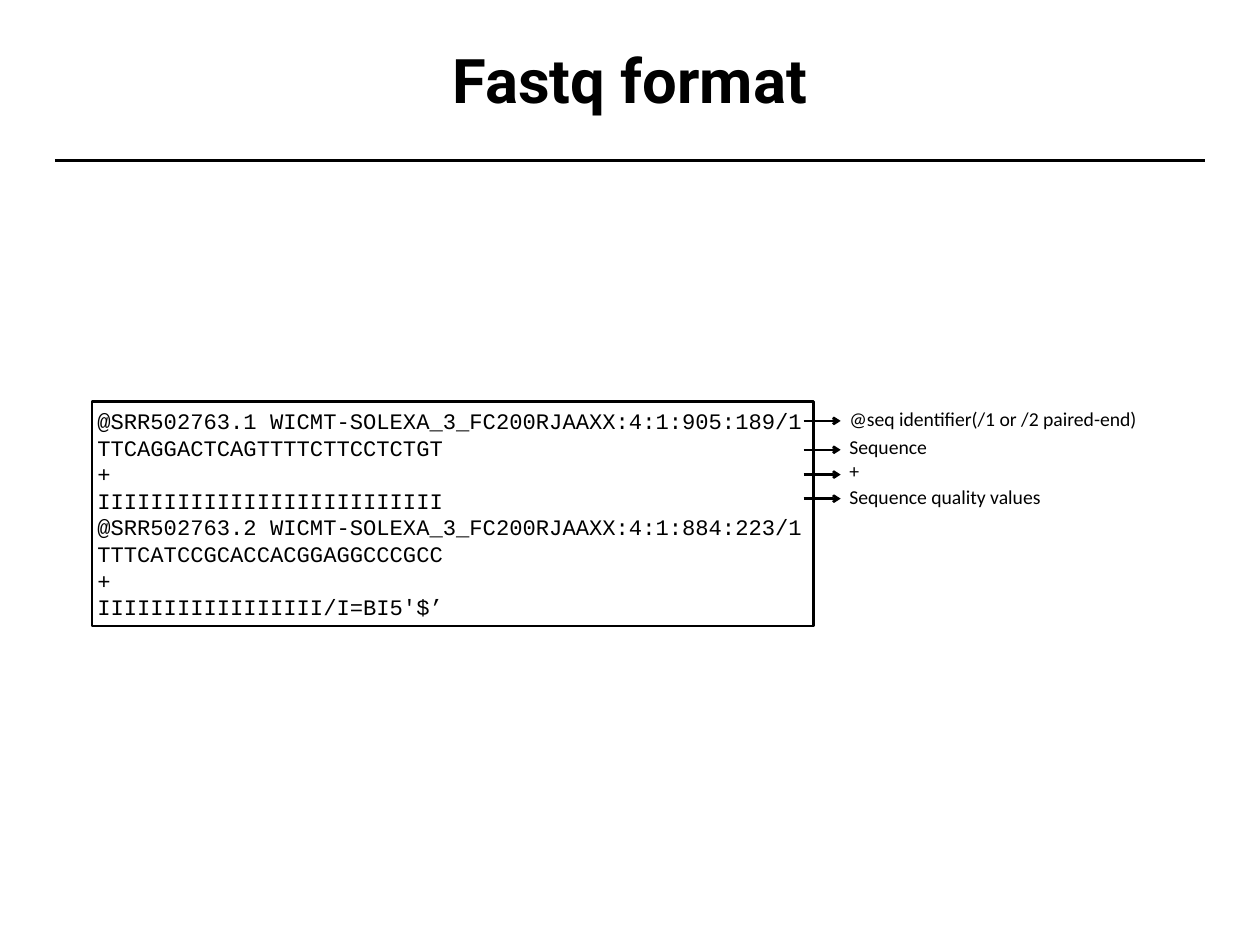
import pptx
import pptx.util
import pptx.dml.color
import pptx.enum.shapes
import pptx.enum.text
import pptx.oxml.ns
import lxml.etree

Cm = pptx.util.Cm
Pt = pptx.util.Pt
COLORS = {"ink": "000000", "paper": "FFFFFF"}
READS = [
    "@SRR502763.1 WICMT-SOLEXA_3_FC200RJAAXX:4:1:905:189/1",
    "TTCAGGACTCAGTTTTCTTCCTCTGT",
    "+",
    "IIIIIIIIIIIIIIIIIIIIIIIIII",
    "@SRR502763.2 WICMT-SOLEXA_3_FC200RJAAXX:4:1:884:223/1",
    "TTTCATCCGCACCACGGAGGCCCGCC",
    "+",
    "IIIIIIIIIIIIIIIII/I=BI5'$’",
]
NOTES = [
    ("@seq identifier(/1 or /2 paired-end)", 0, 0.54),
    ("Sequence", 0.81, 1.37),
    ("+", 1.5, 2.08),
    ("Sequence quality values", 2.26, 2.77),
]


def color(name):
    """Return the named colour."""
    return pptx.dml.color.RGBColor.from_string(COLORS[name])


def write(frame, lines, font, size, bold=False, align="LEFT"):
    """Fill a text frame with one paragraph per line."""
    for i, line in enumerate(lines):
        para = frame.add_paragraph() if i else frame.paragraphs[0]
        para.alignment = getattr(pptx.enum.text.PP_ALIGN, align)
        run = para.add_run()
        run.text = line
        run.font.name = font
        run.font.size = Pt(size)
        run.font.bold = bold
        run.font.color.rgb = color("ink")


def inset(frame):
    """Set narrow margins and centre the text vertically."""
    frame.margin_left = frame.margin_right = Cm(0.15)
    frame.margin_top = frame.margin_bottom = Cm(0.15)
    frame.vertical_anchor = pptx.enum.text.MSO_ANCHOR.MIDDLE
    frame.word_wrap = True


def rule(slide, x1, x2, y, arrow=False):
    """Draw a level line, with an arrowhead if asked."""
    kind = pptx.enum.shapes.MSO_CONNECTOR.STRAIGHT
    line = slide.shapes.add_connector(kind, Cm(x1), Cm(y), Cm(x2), Cm(y))
    line.line.color.rgb = color("ink")
    line.line.width = Pt(2)
    qn = pptx.oxml.ns.qn
    if arrow:
        lxml.etree.SubElement(line.line._get_or_add_ln(), qn("a:tailEnd"), type="arrow")
    lxml.etree.SubElement(line._element.spPr, qn("a:effectLst"))


def header(slide, x, y, w, h):
    """Place the title and the rule below it."""
    title = slide.shapes.title
    title.left, title.top, title.width, title.height = Cm(x), Cm(y), Cm(w), Cm(h)
    inset(title.text_frame)
    write(title.text_frame, ["Fastq format"], "Roboto", 50, True, "CENTER")
    rule(slide, x - 1.07, x + w + 1.06, y + h + 0.43)


def listing(slide, x, y, w, h):
    """Place the framed reads."""
    kind = pptx.enum.shapes.MSO_SHAPE.RECTANGLE
    frame = slide.shapes.add_shape(kind, Cm(x), Cm(y), Cm(w), Cm(h))
    frame.shadow.inherit = False
    frame.fill.solid()
    frame.fill.fore_color.rgb = color("paper")
    frame.line.color.rgb = color("ink")
    frame.line.width = Pt(2)
    inset(frame.text_frame)
    write(frame.text_frame, READS, "Courier New", 18)


def legend(slide, x, y, w):
    """Place the notes with arrows from the reads."""
    for text, top, mid in NOTES:
        note = slide.shapes.add_textbox(Cm(x), Cm(y + top), Cm(w), Cm(0.94))
        note.text_frame.word_wrap = True
        write(note.text_frame, [text], "Calibri", 16)
        rule(slide, x - 1.06, x, y + mid, True)


def main():
    """Build and save the deck."""
    deck = pptx.Presentation()
    deck.slide_width, deck.slide_height = Cm(36.12), Cm(27.1)
    slide = deck.slides.add_slide(deck.slide_layouts[5])
    header(slide, 2.64, 0.36, 30.84, 3.81)
    listing(slide, 2.64, 11.51, 20.68, 6.45)
    legend(slide, 24.1, 11.53, 9.5)
    deck.save("out.pptx")


if __name__ == "__main__":
    main()
